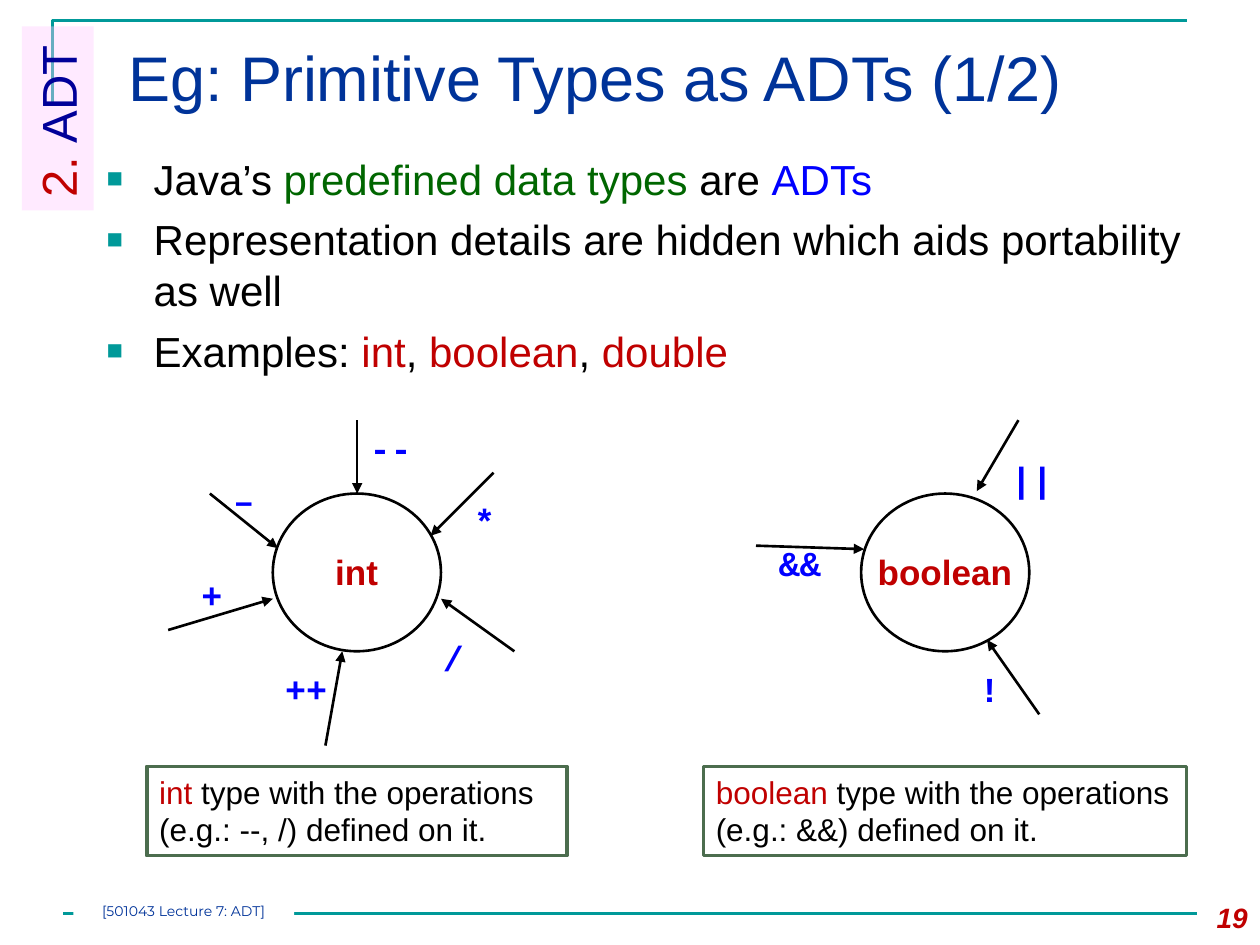
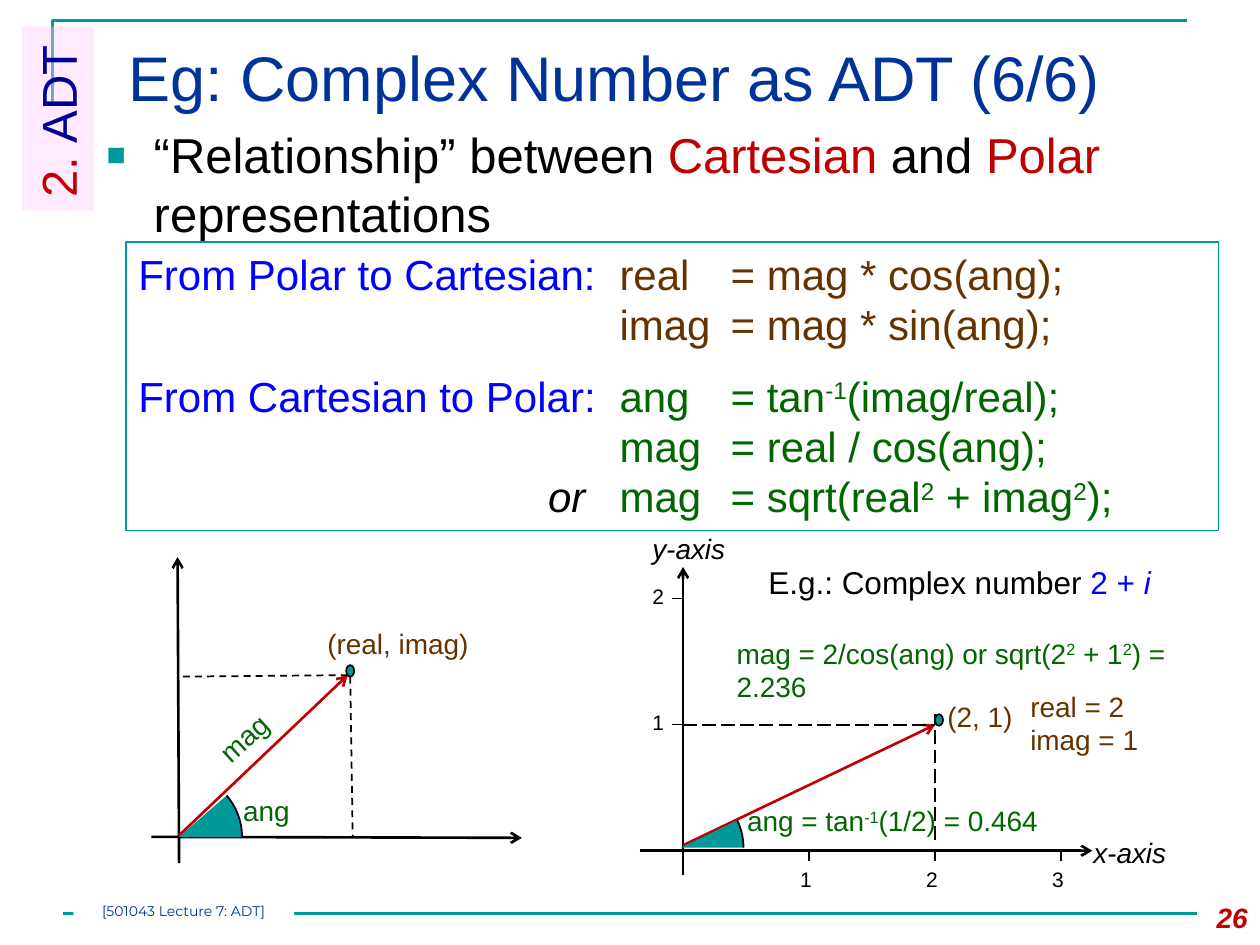
from lxml import etree
from pptx import Presentation
from pptx.dml.color import RGBColor
from pptx.enum.dml import MSO_LINE
from pptx.enum.shapes import MSO_CONNECTOR, MSO_SHAPE
from pptx.enum.text import MSO_ANCHOR, PP_ALIGN
from pptx.oxml.ns import qn
from pptx.util import Cm, Pt

LEFT, CENTER, RIGHT = PP_ALIGN.LEFT, PP_ALIGN.CENTER, PP_ALIGN.RIGHT
TOP = MSO_ANCHOR.TOP
RECT, OVAL, ARC = MSO_SHAPE.RECTANGLE, MSO_SHAPE.OVAL, MSO_SHAPE.ARC
STRAIGHT = MSO_CONNECTOR.STRAIGHT
DASH, LONG_DASH = MSO_LINE.DASH, MSO_LINE.LONG_DASH

COLORS = {
    "black": "000000", "white": "FFFFFF", "teal": "009999", "title": "003399",
    "red": "C00000", "navy": "000099", "pink": "FFCCFF", "green": "006600",
    "blue": "0000FF", "brown": "663300", "frame": "4C6D4E",
}
BODY_FONT, CODE_FONT, FOOTER_FONT = "Arial", "Courier New", "Montserrat"
TITLE_ONLY = 5
TAB_STOPS = (9.7, 11.94)
UNIT = 2.54  # one step on the axes of the worked example


def color(name):
    return RGBColor.from_string(COLORS[name])


def add_xml(parent, tag, **attributes):
    return etree.SubElement(parent, qn(tag), attributes)


# ---- Text ----
def write(frame, paras, size, font=BODY_FONT, align=LEFT, wrap=True, **base):
    """Fill a frame; a span is (text, colour) or (text, colour, formats)."""
    frame.word_wrap = wrap
    frame.vertical_anchor = TOP
    for index, spans in enumerate(paras):
        para = frame.paragraphs[0] if index == 0 else frame.add_paragraph()
        para.alignment = align
        for text, tint, *extra in spans:
            span = para.add_run()
            span.text = text
            formats = {"name": font, "size": Pt(size), **base}
            formats.update(*extra)
            raised = formats.pop("raised", False)
            for key, value in formats.items():
                setattr(span.font, key, value)
            span.font.color.rgb = color(tint)
            if raised:
                span._r.get_or_add_rPr().set("baseline", "30000")


def add_text(page, place, paras, size, turn=0, **formats):
    box = page.shapes.add_textbox(*map(Cm, place))
    box.rotation = turn
    write(box.text_frame, paras, size, **formats)
    return box


def add_label(page, x, y, width, text, tint, size=16, height=0.94, **formats):
    return add_text(page, (x, y, width, height), [[(text, tint)]], size,
                    wrap=False, **formats)


def add_bullets(page, place, paras, size):
    box = add_text(page, place, paras, size)
    for index, para in enumerate(box.text_frame.paragraphs):
        if index:
            para.space_before = Pt(6)
        props = para._p.get_or_add_pPr()
        props.set("marL", str(Cm(0.95)))
        props.set("indent", str(-Cm(0.95)))
        add_xml(add_xml(props, "a:buClr"), "a:srgbClr", val=COLORS["teal"])
        add_xml(props, "a:buSzPct", val="65000")
        add_xml(props, "a:buFont", typeface=BODY_FONT)
        add_xml(props, "a:buChar", char="■")


def set_tabs(para, stops):
    tabs = add_xml(para._p.get_or_add_pPr(), "a:tabLst")
    for stop in stops:
        add_xml(tabs, "a:tab", pos=str(Cm(stop)), algn="l")


# ---- Shapes and lines ----
def paint(shape, fill, line, weight):
    shape.shadow.inherit = False
    if fill:
        shape.fill.solid()
        shape.fill.fore_color.rgb = color(fill)
    else:
        shape.fill.background()
    if line:
        shape.line.color.rgb = color(line)
        shape.line.width = Pt(weight)
    else:
        shape.line.fill.background()


def add_shape(page, kind, place, fill=None, line=None, weight=1):
    shape = page.shapes.add_shape(kind, *map(Cm, place))
    paint(shape, fill, line, weight)
    return shape


def add_line(page, start, end, tint="black", weight=1.5, head=None, dash=None):
    line = page.shapes.add_connector(STRAIGHT, *map(Cm, (*start, *end)))
    line.line.color.rgb = color(tint)
    line.line.width = Pt(weight)
    if dash:
        line.line.dash_style = dash
    if head:
        add_xml(line.line._get_or_add_ln(), "a:tailEnd", type=head)
    add_xml(line._element.spPr, "a:effectLst")


# ---- Parts that every page shares ----
def add_page(deck, title, number):
    page = deck.slides.add_slide(deck.slide_layouts[TITLE_ONLY])
    # Corner line and footer line
    corner = page.shapes.build_freeform(Cm(1.06), Cm(2.12), scale=1.0)
    corner.add_line_segments([(Cm(1.06), Cm(0.42)), (Cm(23.92), Cm(0.42))],
                             close=False)
    paint(corner.convert_to_shape(), None, "teal", 1.5)
    add_line(page, (1.27, 18.42), (24.13, 18.42), "teal")
    # Title
    heading = page.shapes.title
    place = {"left": 2.33, "top": 0.64, "width": 22.44, "height": 2.18}
    for key, value in place.items():
        setattr(heading, key, Cm(value))
    write(heading.text_frame, [[(title, "title")]], 36)
    # Page number
    add_text(page, (23.71, 18.03, 1.69, 1.02), [[(number, "red")]], 16,
             align=RIGHT, bold=True, italic=True)
    # Chapter tag along the left edge
    tag = add_shape(page, RECT, (-0.69, 1.66, 3.71, 1.45), "pink")
    tag.rotation = 270
    tint = tag._element.spPr.find(qn("a:solidFill")).find(qn("a:srgbClr"))
    add_xml(tint, "a:alpha", val="40000")
    write(tag.text_frame, [[("2. ", "red"), ("ADT", "navy")]], 28)
    return page


def add_footer(page):
    footer = add_shape(page, RECT, (1.48, 18.2, 4.45, 0.43), "white")
    for side in ("left", "top", "right", "bottom"):
        setattr(footer.text_frame, "margin_" + side, 0)
    write(footer.text_frame, [[("[501043 Lecture 7: ADT]", "title")]], 8,
          font=FOOTER_FONT, align=CENTER)


# ---- Parts of the type page ----
def add_type(page, name, left, operations):
    """Draw a type as a circle, with its operations pointing at it."""
    for sign, place, start, end in operations:
        add_label(page, *place, 0.51 + 0.43 * len(sign), sign, "blue", size=20,
                  height=1.11, font=CODE_FONT, bold=True,
                  align=CENTER if sign == "–" else LEFT)
        add_line(page, start, end, head="triangle")
    add_shape(page, OVAL, (left, 9.95, 3.39, 3.18), line="black", weight=1.5)
    add_text(page, (left + 0.05, 10.97, 3.28, 1.11), [[(name, "red")]], 20,
             align=CENTER, bold=True)


def add_caption(page, left, width, name, rest):
    box = add_shape(page, RECT, (left, 15.45, width, 1.8), "white", "frame", 2)
    write(box.text_frame, [[(name, "red"), (rest, "black")]], 18)


def build_types(deck):
    page = add_page(deck, "Eg: Primitive Types as ADTs (1/2)", "19")
    add_bullets(page, (1.9, 2.96, 22.23, 5.08), [
        [("Java’s ", "black"), ("predefined data types ", "green"),
         ("are ", "black"), ("ADTs", "blue")],
        [("Representation details are hidden which aids portability as well",
          "black")],
        [("Examples: ", "black"), ("int", "red"), (", ", "black"),
         ("boolean", "red"), (", ", "black"), ("double", "red")],
    ], 24)
    # Each operation: sign, place of the sign, arrow start, arrow end
    add_type(page, "boolean", 17.36, [
        ("&&", (15.45, 10.8), (15.24, 11), (17.42, 11.07)),
        ("!", (19.49, 13.34), (20.95, 14.4), (19.9, 12.9)),
        ("||", (20.13, 9.1), (20.53, 8.47), (19.69, 9.9)),
    ])
    add_type(page, "int", 5.5, [
        ("+", (3.81, 11.43), (3.39, 12.7), (5.5, 12.07)),
        ("–", (4.45, 9.53), (4.23, 9.95), (5.6, 11.05)),
        ("*", (9.31, 9.95), (9.95, 9.53), (8.68, 10.8)),
        ("++", (5.5, 13.34), (6.56, 15.03), (6.9, 13.13)),
        ("/", (8.68, 12.7), (10.37, 13.13), (8.89, 12.07)),
        ("--", (7.2, 8.47), (7.2, 8.47), (7.2, 9.95)),
    ])
    add_caption(page, 2.96, 8.47, "int",
                " type with the operations (e.g.: --, /) defined on it.")
    add_caption(page, 14.18, 9.74, "boolean ",
                "type with the operations (e.g.: &&) defined on it.")
    add_footer(page)


# ---- Parts of the complex number page ----
def add_formulas(page):
    power = {"raised": True}
    box = add_shape(page, RECT, (2.54, 4.88, 22.02, 5.82), line="teal",
                    weight=0.75)
    write(box.text_frame, [
        [("From Polar to Cartesian:\t", "blue"),
         ("real\t= mag * cos(ang);", "brown")],
        [("\timag\t= mag * sin(ang);", "brown")],
        [("From Cartesian to Polar: \t", "blue"), ("ang\t= tan", "green"),
         ("-1", "green", power), ("(imag/real);", "green")],
        [("\tmag\t= real / cos(ang);", "green")],
        [("\t", "green"), ("or", "black", {"italic": True}),
         ("\tmag \t= sqrt(real", "green"), ("2", "green", power),
         (" + imag", "green"), ("2", "green", power), (");", "green")],
    ], 24)
    lines = box.text_frame.paragraphs
    lines[2].space_before = Pt(12)
    for para in lines[:-1]:
        set_tabs(para, TAB_STOPS)
    set_tabs(lines[-1], (8.26, *TAB_STOPS))


def add_vector(page, axes, dot, start, end, arc, turn):
    """Draw two axes, a point, the arrow to it and the angle at its foot."""
    for axis in axes:
        add_line(page, *axis, head="arrow")
    add_shape(page, OVAL, (*dot, 0.16, 0.23), "teal", "black")
    add_line(page, start, end, "red", head="arrow")
    angle = add_shape(page, ARC, (*arc, 2.54, 2.54), "teal", "black")
    angle.adjustments[0] = turn * 0.6  # degrees to the units of the arc
    angle.adjustments[1] = 0


def add_general_plot(page):
    add_vector(page, [((3.61, 17.4), (3.58, 11.23)),
                      ((3.05, 16.87), (10.52, 16.89))],
               (6.98, 13.41), (3.61, 16.84), (7.01, 13.61), (2.34, 15.6), 319.13)
    add_label(page, 4.65, 15.88, 1.47, "ang", "green")
    add_label(page, 4.11, 14.4, 1.63, "mag", "green", turn=317.8)
    add_line(page, (7.06, 13.64), (7.11, 16.87), weight=1, dash=DASH)
    add_line(page, (7.01, 13.61), (3.66, 13.64), weight=1, dash=DASH)
    add_label(page, 6.35, 12.5, 3.4, "(real, imag)", "brown")


def add_example_plot(page):
    left, base = 13.77, 17.15
    point_x, point_y = left + 2 * UNIT, base - UNIT
    power = {"raised": True}
    add_vector(page, [((left, 17.63), (left, 11.43)),
                      ((12.9, base), (22.02, base))],
               (18.85, 14.4), (left, 17.04), (point_x, point_y),
               (12.45, 15.82), 334.25)
    add_label(page, 12.9, 10.59, 2.01, "y-axis", "black", italic=True)
    add_label(page, 21.79, 16.71, 2.01, "x-axis", "black", italic=True)
    # Ticks with their numbers
    for step in (1, 2, 3):
        x = left + step * UNIT
        add_line(page, (x, base), (x, base + 0.2), weight=1)
        add_label(page, x - 0.43, 17.35, 0.74, str(step), "black", 12, 0.76)
    for step in (1, 2):
        y = base - step * UNIT
        add_line(page, (left - 0.23, y), (left, y), weight=0.75)
        add_label(page, 12.9, y - 0.43, 0.74, str(step), "black", 12, 0.76)
    # Guides to the point
    add_line(page, (left, point_y), (point_x, point_y), weight=1, dash=LONG_DASH)
    add_line(page, (point_x, 16.93), (point_x, 14.4), weight=1, dash=LONG_DASH)
    # Values
    add_text(page, (14.81, 16.08, 6.78, 0.94), [
        [("ang = tan", "green"), ("-1", "green", power),
         ("(1/2) = 0.464", "green")]], 16)
    add_text(page, (14.6, 12.7, 9.32, 1.63), [
        [("mag = 2/cos(ang) or sqrt(2", "green"), ("2", "green", power),
         (" + 1", "green"), ("2", "green", power), (") = 2.236", "green")]], 16)
    add_label(page, 18.85, 13.97, 1.85, "(2, 1)", "brown")
    add_text(page, (20.52, 13.77, 2.72, 1.63),
             [[("real = 2", "brown")], [("imag = 1", "brown")]], 16, wrap=False)
    add_text(page, (15.24, 11.23, 8.69, 1.02), [
        [("E.g.: Complex number ", "black"), ("2 + ", "blue"),
         ("i", "blue", {"italic": True})]], 18)


def build_complex(deck):
    page = add_page(deck, "Eg: Complex Number as ADT (6/6)", "26")
    add_bullets(page, (1.9, 2.39, 22.23, 2.69), [
        [("“Relationship” between ", "black"), ("Cartesian", "red"),
         (" and ", "black"), ("Polar", "red"), (" representations", "black")],
    ], 28)
    add_formulas(page)
    add_general_plot(page)
    add_example_plot(page)
    add_footer(page)


def main():
    deck = Presentation()
    deck.slide_width, deck.slide_height = Cm(25.4), Cm(19.05)
    build_types(deck)
    build_complex(deck)
    deck.save("out.pptx")


main()
